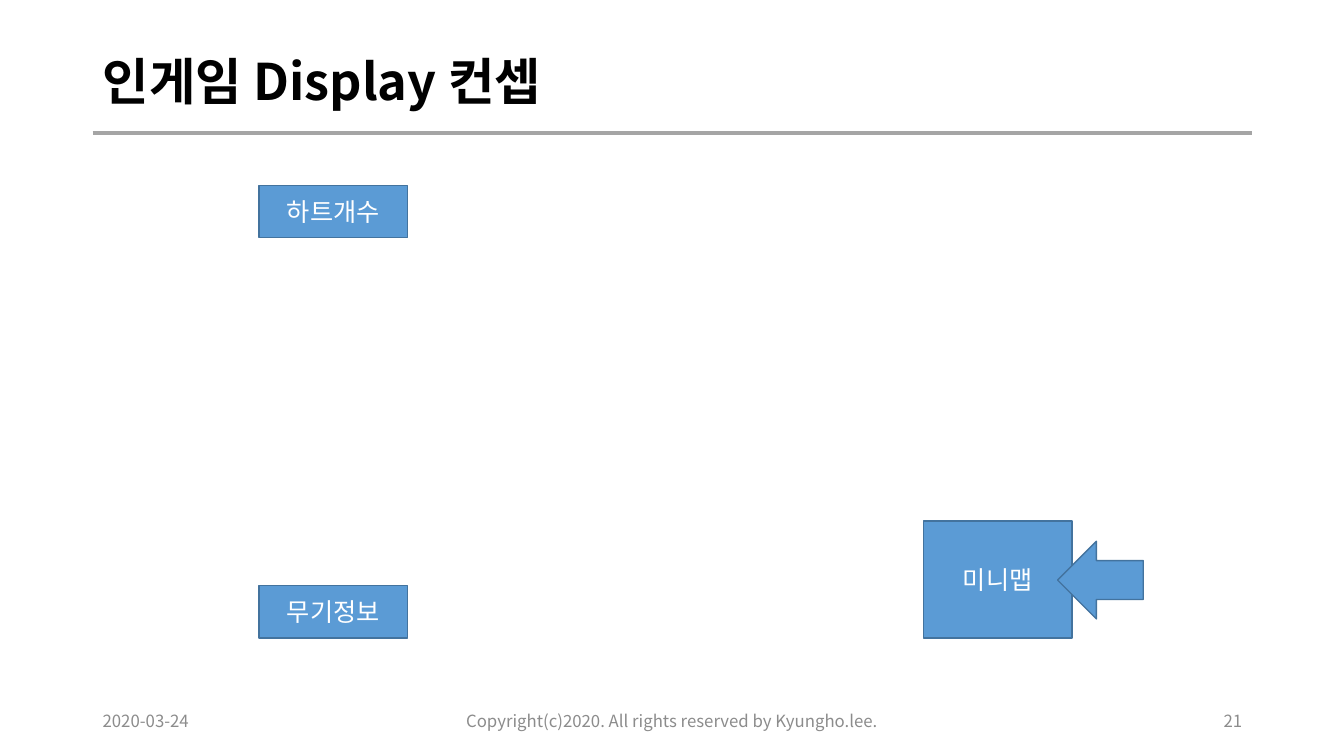
from typing import NamedTuple

from lxml import etree
from pptx import Presentation, util as u
from pptx.dml.color import RGBColor
from pptx.enum import shapes, text
from pptx.oxml.ns import qn

FONT = "Noto Sans CJK KR"
BLACK = RGBColor(0x00, 0x00, 0x00)
WHITE = RGBColor(0xFF, 0xFF, 0xFF)
GRAY = RGBColor(0x8C, 0x8C, 0x8C)
RULE = RGBColor(0xA5, 0xA5, 0xA5)
BLUE = RGBColor(0x5B, 0x9B, 0xD5)
EDGE = RGBColor(0x43, 0x73, 0x9E)

RECT = shapes.MSO_SHAPE.RECTANGLE
ARROW = shapes.MSO_SHAPE.LEFT_ARROW
LEFT, CENTER, RIGHT = text.PP_ALIGN.LEFT, text.PP_ALIGN.CENTER, text.PP_ALIGN.RIGHT


class Box(NamedTuple):
    """Lengths in percent of the slide's width and height."""
    x: float
    y: float
    w: float
    h: float


class Element(NamedTuple):
    kind: shapes.MSO_SHAPE
    box: Box
    label: str = ""


class Footer(NamedTuple):
    x: float
    w: float
    align: text.PP_ALIGN
    label: str


# Shared edges of the layout
MARGIN, CONTENT_W = 6.9, 86.27
RULE_Y = 17.6
FOOT_Y, FOOT_H, SIDE_W, MID_W = 92.67, 5.33, 22.5, 33.76
HUD_X, MAP_X, HUD_W = 19.28, 68.72, 11.03
HUD_TOP, HUD_BOTTOM = 24.53, 84.4
LABEL_H, MAP_H = 6.93, 15.47

ELEMENTS = [
    Element(RECT, Box(HUD_X, HUD_TOP, HUD_W, LABEL_H), "하트개수"),
    Element(RECT, Box(MAP_X, HUD_BOTTOM - MAP_H, HUD_W, MAP_H), "미니맵"),
    Element(ARROW, Box(78.69, 71.6, 6.38, 10.27)),
    Element(RECT, Box(HUD_X, HUD_BOTTOM - LABEL_H, HUD_W, LABEL_H), "무기정보"),
]
FOOTERS = [
    Footer(MARGIN, SIDE_W, LEFT, "2020-03-24"),
    Footer(50 - MID_W / 2, MID_W, CENTER,
           "Copyright(c)2020. All rights reserved by Kyungho.lee."),
    Footer(MARGIN + CONTENT_W - SIDE_W, SIDE_W, RIGHT, "21"),
]

prs = Presentation()
prs.slide_width, prs.slide_height = u.Inches(13.33), u.Inches(7.5)


def px(share: float) -> int:
    return round(prs.slide_width * share / 100)


def py(share: float) -> int:
    return round(prs.slide_height * share / 100)


def place(box: Box) -> tuple[int, int, int, int]:
    return px(box.x), py(box.y), px(box.w), py(box.h)


def write(sp, label: str, size: int, color: RGBColor, align: text.PP_ALIGN,
          bold: bool = False):
    tf = sp.text_frame
    tf.word_wrap = True
    tf.auto_size = text.MSO_AUTO_SIZE.NONE
    tf.vertical_anchor = text.MSO_ANCHOR.MIDDLE
    p = tf.paragraphs[0]
    p.alignment = align
    r = p.add_run()
    r.text = label
    r.font.name, r.font.size, r.font.bold = FONT, u.Pt(size), bold
    r.font.color.rgb = color
    # East Asian typeface for the Korean text
    etree.SubElement(r.font._element, qn("a:ea"), typeface=FONT)
    return p


def add_element(s, item: Element) -> None:
    sp = s.shapes.add_shape(item.kind, *place(item.box))
    sp.shadow.inherit = False
    sp.fill.solid()
    sp.fill.fore_color.rgb = BLUE
    sp.line.color.rgb = EDGE
    sp.line.width = u.Pt(1)
    if item.label:
        write(sp, item.label, 18, WHITE, CENTER)


def add_footer(s, item: Footer) -> None:
    sp = s.shapes.add_textbox(*place(Box(item.x, FOOT_Y, item.w, FOOT_H)))
    write(sp, item.label, 12, GRAY, item.align)


def add_rule(s) -> None:
    line = s.shapes.add_connector(
        shapes.MSO_CONNECTOR.STRAIGHT,
        px(MARGIN), py(RULE_Y), px(MARGIN + CONTENT_W), py(RULE_Y))
    line.line.color.rgb = RULE
    line.line.width = u.Pt(2.25)
    etree.SubElement(line._element.spPr, qn("a:effectLst"))


def main() -> None:
    s = prs.slides.add_slide(prs.slide_layouts[5])

    # Title and the rule below it
    title = s.shapes.title
    title.left, title.top, title.width, title.height = place(
        Box(MARGIN, 5.33, CONTENT_W, 11.6))
    p = write(title, "인게임 Display 컨셉", 36, BLACK, LEFT, bold=True)
    p.line_spacing = 0.9
    add_rule(s)

    # Footer line
    for footer in FOOTERS:
        add_footer(s, footer)

    # In-game display elements
    for element in ELEMENTS:
        add_element(s, element)

    prs.save("out.pptx")


if __name__ == "__main__":
    main()
